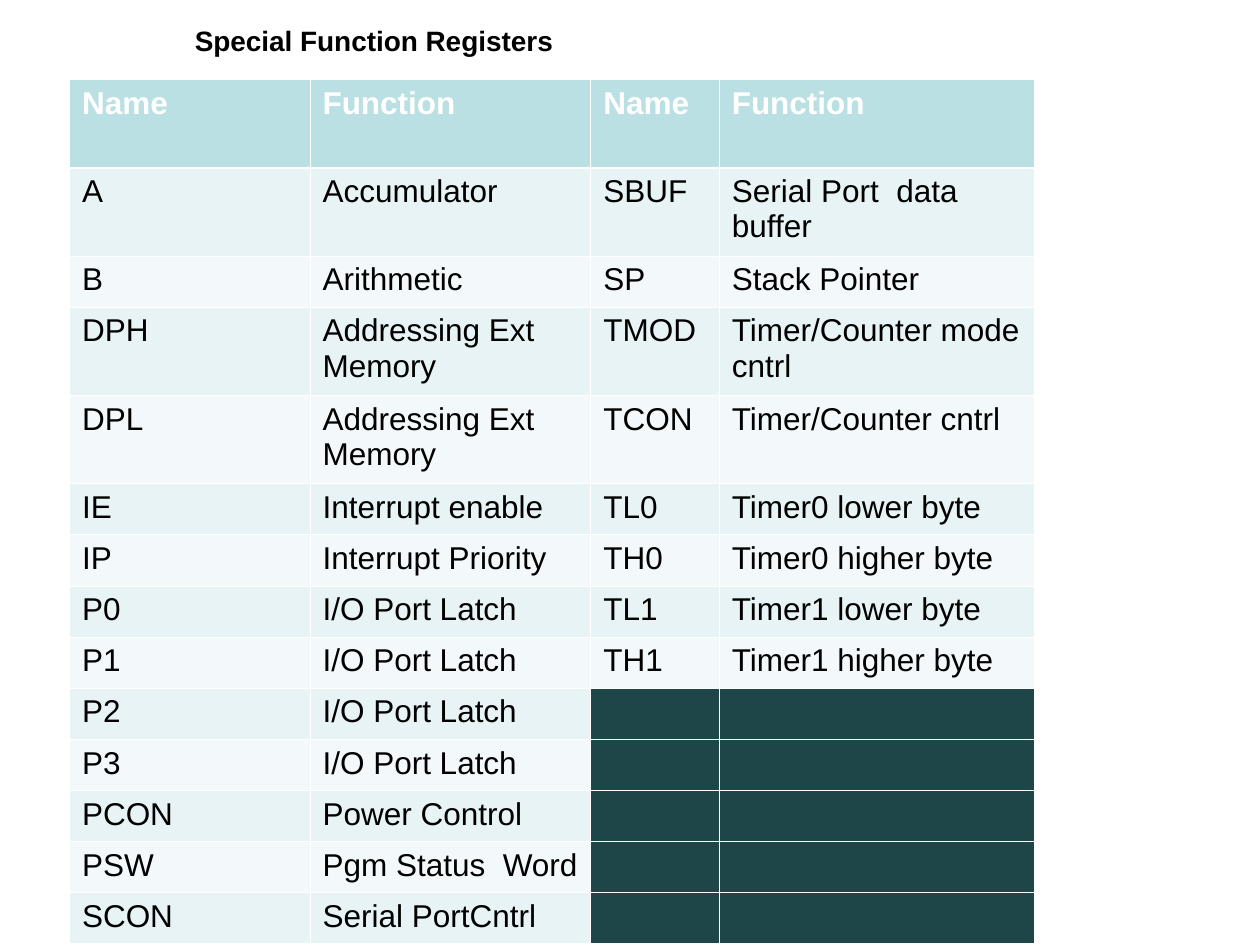
from pptx import Presentation
from pptx.dml.color import RGBColor
from pptx.enum.text import MSO_ANCHOR, PP_ALIGN
from pptx.oxml import parse_xml
from pptx.oxml.ns import nsdecls
from pptx.util import Cm, Pt

TITLE = "Special Function Registers"
HEADER = ("Name", "Function")
LEFT_REGISTERS = [
    ("A", "Accumulator"),
    ("B", "Arithmetic"),
    ("DPH", "Addressing Ext Memory"),
    ("DPL", "Addressing Ext Memory"),
    ("IE", "Interrupt enable"),
    ("IP", "Interrupt Priority"),
    ("P0", "I/O Port Latch"),
    ("P1", "I/O Port Latch"),
    ("P2", "I/O Port Latch"),
    ("P3", "I/O Port Latch"),
    ("PCON", "Power Control"),
    ("PSW", "Pgm Status  Word"),
    ("SCON", "Serial PortCntrl"),
]
RIGHT_REGISTERS = [
    ("SBUF", "Serial Port  data buffer"),
    ("SP", "Stack Pointer"),
    ("TMOD", "Timer/Counter mode cntrl"),
    ("TCON", "Timer/Counter cntrl"),
    ("TL0", "Timer0 lower byte"),
    ("TH0", "Timer0 higher byte"),
    ("TL1", "Timer1 lower byte"),
    ("TH1", "Timer1 higher byte"),
]

FONT = "Arial"
BLACK = RGBColor(0x00, 0x00, 0x00)
WHITE = RGBColor(0xFF, 0xFF, 0xFF)
HEADER_FILL = RGBColor(0xBB, 0xE0, 0xE3)
BAND_FILLS = (RGBColor(0xE7, 0xF3, 0xF4), RGBColor(0xF3, 0xF9, 0xFA))
EMPTY_FILL = RGBColor(0x1E, 0x46, 0x49)

COLUMN_WIDTHS = (4.85, 5.66, 2.59, 6.35)
TALL_ROWS = (0, 1, 3, 4)
TALL_HEIGHT, SHORT_HEIGHT = 1.78, 1.03
THIN_BORDER, HEADER_BORDER = Pt(0.45), Pt(1.47)


def format_text(paragraph, size, color, bold):
    for run in paragraph.runs:
        run.font.name = FONT
        run.font.size = Pt(size)
        run.font.bold = bold
        run.font.color.rgb = color


def set_borders(cell, row_number):
    widths = {"lnL": THIN_BORDER, "lnR": THIN_BORDER,
              "lnT": HEADER_BORDER if row_number == 1 else THIN_BORDER,
              "lnB": HEADER_BORDER if row_number == 0 else THIN_BORDER}
    properties = cell._tc.get_or_add_tcPr()
    for position, (side, width) in enumerate(widths.items()):
        properties.insert(position, parse_xml(
            f'<a:{side} {nsdecls("a")} w="{int(width)}"><a:solidFill>'
            f'<a:srgbClr val="{WHITE}"/></a:solidFill></a:{side}>'))


def add_title(slide):
    title = slide.shapes.add_textbox(Cm(2.18), Cm(0), Cm(10.72), Cm(1.63))
    frame = title.text_frame
    frame.word_wrap = True
    frame.vertical_anchor = MSO_ANCHOR.MIDDLE
    frame.text = TITLE
    paragraph = frame.paragraphs[0]
    paragraph.alignment = PP_ALIGN.CENTER
    format_text(paragraph, 16, BLACK, True)


def add_register_table(slide):
    padding = [("", "")] * (len(LEFT_REGISTERS) - len(RIGHT_REGISTERS))
    rows = [HEADER + HEADER]
    rows += [left + right for left, right in zip(LEFT_REGISTERS, RIGHT_REGISTERS + padding)]
    heights = [TALL_HEIGHT if number in TALL_ROWS else SHORT_HEIGHT
               for number in range(len(rows))]

    table = slide.shapes.add_table(
        len(rows), len(COLUMN_WIDTHS), Cm(1.4), Cm(1.6),
        Cm(sum(COLUMN_WIDTHS)), Cm(sum(heights))).table
    for column, width in zip(table.columns, COLUMN_WIDTHS):
        column.width = Cm(width)

    for row_number, (texts, height) in enumerate(zip(rows, heights)):
        table.rows[row_number].height = Cm(height)
        is_header = row_number == 0
        row_fill = HEADER_FILL if is_header else BAND_FILLS[(row_number - 1) % 2]
        for column_number, text in enumerate(texts):
            cell = table.cell(row_number, column_number)
            cell.text_frame.text = text
            format_text(cell.text_frame.paragraphs[0], 18,
                        WHITE if is_header else BLACK, is_header)
            cell.fill.solid()
            cell.fill.fore_color.rgb = row_fill if text else EMPTY_FILL
            set_borders(cell, row_number)


def main():
    presentation = Presentation()
    presentation.slide_width = Cm(25.4)
    presentation.slide_height = Cm(19.05)
    slide = presentation.slides.add_slide(presentation.slide_layouts[6])
    add_title(slide)
    add_register_table(slide)
    presentation.save("out.pptx")


if __name__ == "__main__":
    main()
